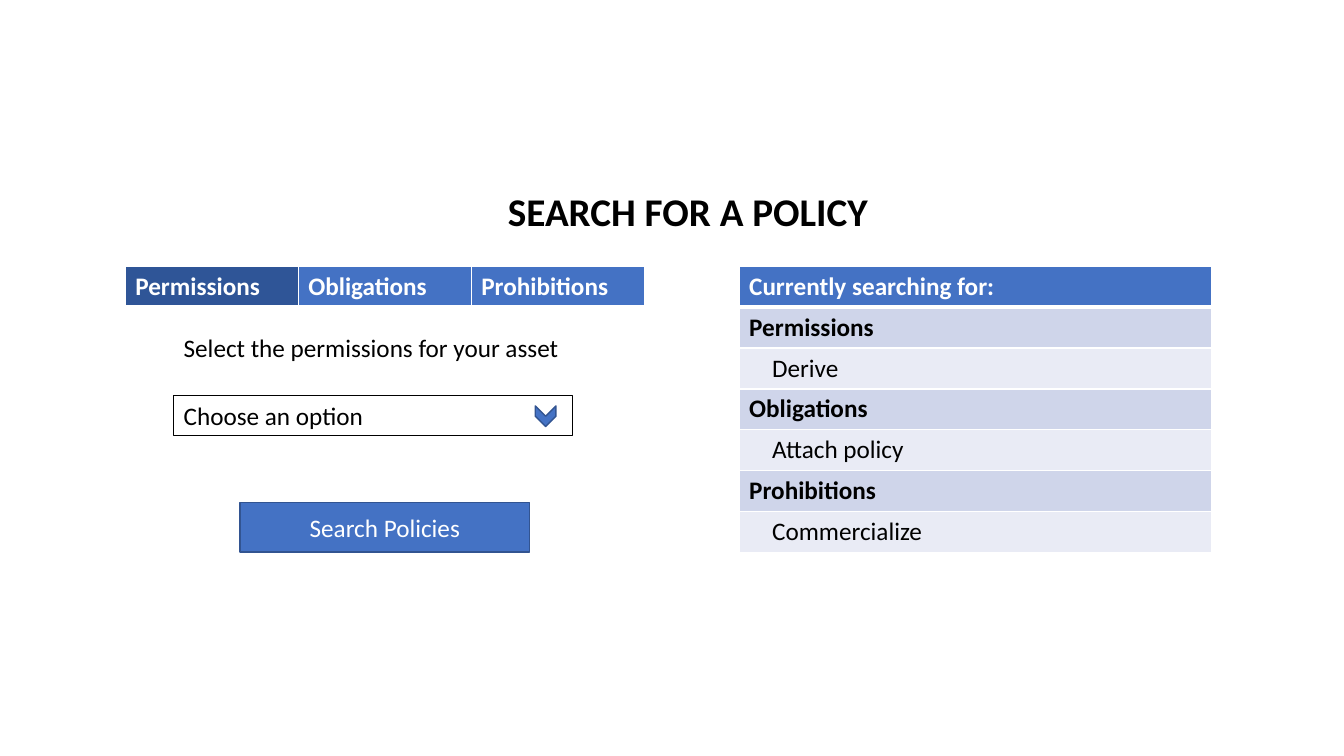
from dataclasses import dataclass

from lxml import etree
from pptx import Presentation
from pptx.dml.color import RGBColor
from pptx.enum.shapes import MSO_SHAPE
from pptx.enum.text import MSO_ANCHOR, MSO_AUTO_SIZE, PP_ALIGN
from pptx.oxml.ns import qn
from pptx.util import Cm, Pt

RECT, CHEVRON = MSO_SHAPE.RECTANGLE, MSO_SHAPE.CHEVRON
TOP, MIDDLE = MSO_ANCHOR.TOP, MSO_ANCHOR.MIDDLE
LEFT, CENTER = PP_ALIGN.LEFT, PP_ALIGN.CENTER
FIT = MSO_AUTO_SIZE.SHAPE_TO_FIT_TEXT


@dataclass(frozen=True)
class Theme:
    font: str = "Calibri"
    title: int = 28
    body: int = 18
    black: str = "000000"
    white: str = "FFFFFF"
    accent: str = "4472C4"
    active: str = "2F5597"
    outline: str = "325491"
    group: str = "CFD5EA"
    item: str = "E9EBF5"


THEME = Theme()
ROW_H = 1.03
INSET = 0.25
INDENT = 0.58


def rgb(value):
    return RGBColor.from_string(value)


def write(tf, text, color=THEME.black, size=THEME.body, bold=False, align=LEFT):
    p = tf.paragraphs[0]
    p.alignment = align
    r = p.add_run()
    r.text = text
    formats = {"name": THEME.font, "size": Pt(size), "bold": bold}
    for name, value in formats.items():
        setattr(r.font, name, value)
    r.font.color.rgb = rgb(color)


def add_label(slide, box, text, **formats):
    s = slide.shapes.add_textbox(*map(Cm, box))
    tf = s.text_frame
    tf.word_wrap = False
    tf.auto_size = FIT
    write(tf, text, **formats)


def add_box(slide, kind, box, line, width, fill=None):
    sp = slide.shapes.add_shape(kind, *map(Cm, box))
    sp.shadow.inherit = False
    if fill:
        sp.fill.solid()
        sp.fill.fore_color.rgb = rgb(fill)
    else:
        sp.fill.background()
    sp.line.color.rgb = rgb(line)
    sp.line.width = Pt(width)
    return sp


def set_borders(cell, bottom):
    tc_pr = cell._tc.get_or_add_tcPr()
    widths = {"a:lnL": 1, "a:lnR": 1, "a:lnT": 1, "a:lnB": bottom}
    for i, (tag, width) in enumerate(widths.items()):
        ln = etree.Element(qn(tag), w=str(Pt(width)))
        fill = etree.SubElement(ln, qn("a:solidFill"))
        etree.SubElement(fill, qn("a:srgbClr"), val=THEME.white)
        tc_pr.insert(i, ln)


def fill_cell(cell, text, fill, color=THEME.black, bold=True, indent=0, bottom=1):
    cell.fill.solid()
    cell.fill.fore_color.rgb = rgb(fill)
    cell.margin_left = Cm(INSET + indent)
    set_borders(cell, bottom)
    write(cell.text_frame, text, color=color, bold=bold)


def add_grid(slide, rows, cols, x, y, w):
    s = slide.shapes.add_table(rows, cols, Cm(x), Cm(y), Cm(w), Cm(rows * ROW_H))
    return s.table


def add_tabs(slide, x, y, w, names, active):
    table = add_grid(slide, 1, len(names), x, y, w)
    for i, name in enumerate(names):
        fill = THEME.active if name == active else THEME.accent
        fill_cell(table.cell(0, i), name, fill, color=THEME.white, bottom=3)


def add_dropdown(slide, x, y, w, text):
    sp = add_box(slide, RECT, (x, y, w, 1.02), THEME.black, 0.75)
    sp.text_frame.vertical_anchor = TOP
    write(sp.text_frame, text)
    arrow = add_box(slide, CHEVRON, (x + w - 0.95, y + 0.27, 0.52, 0.52),
                    THEME.outline, 1, THEME.accent)
    arrow.rotation = 90


def add_search_form(slide, x, y, w, names):
    add_tabs(slide, x, y, w, names, names[0])
    field_x, field_w = x + 1.22, 10.06
    add_label(slide, (field_x, y + 1.55, field_w, 1.02),
              "Select the permissions for your asset")
    add_dropdown(slide, field_x, y + 3.25, field_w, "Choose an option")
    button_w = 7.3
    sp = add_box(slide, RECT, (x + (w - button_w) / 2, y + 5.95, button_w, 1.25),
                 THEME.outline, 1, THEME.accent)
    sp.text_frame.vertical_anchor = MIDDLE
    write(sp.text_frame, "Search Policies", color=THEME.white, align=CENTER)


def add_summary(slide, x, y, w, choices):
    table = add_grid(slide, 1 + 2 * len(choices), 1, x, y, w)
    fill_cell(table.cell(0, 0), "Currently searching for:", THEME.accent,
              color=THEME.white, bottom=3)
    for i, (group, item) in enumerate(choices.items()):
        row = 1 + 2 * i
        fill_cell(table.cell(row, 0), group, THEME.group)
        fill_cell(table.cell(row + 1, 0), item, THEME.item, bold=False, indent=INDENT)


def main():
    prs = Presentation()
    prs.slide_width, prs.slide_height = Cm(33.87), Cm(19.05)
    slide = prs.slides.add_slide(prs.slide_layouts[6])
    choices = {
        "Permissions": "Derive",
        "Obligations": "Attach policy",
        "Prohibitions": "Commercialize",
    }
    add_label(slide, (12.55, 4.6, 9.68, 1.45), "SEARCH FOR A POLICY",
              size=THEME.title, bold=True)
    add_search_form(slide, 3.16, 6.71, 13.08, list(choices))
    add_summary(slide, 18.63, 6.71, 11.91, choices)
    prs.save("out.pptx")


main()
